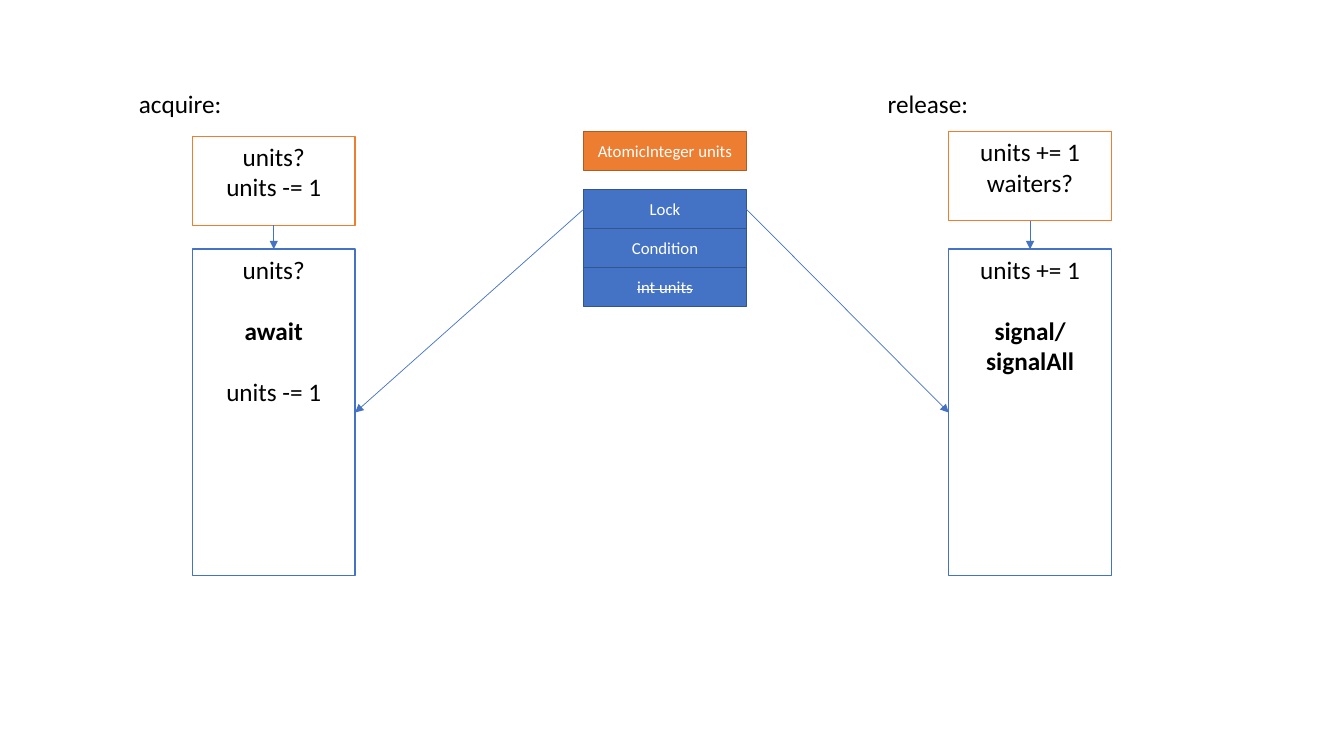
"""Slide showing a semaphore's acquire and release steps around a shared lock."""
from pptx import Presentation
from pptx.dml.color import RGBColor
from pptx.enum.shapes import MSO_CONNECTOR, MSO_SHAPE
from pptx.enum.text import MSO_ANCHOR, MSO_AUTO_SIZE, PP_ALIGN
from pptx.oxml.ns import qn
from pptx.util import Cm, Pt
from lxml.etree import SubElement

BLUE, ORANGE, WHITE, BLACK = "4472C4", "ED7D31", "FFFFFF", "000000"
BOX_W, ROW_H, STEP_H, LOCKED_H = 4.1, 0.98, 2.24, 8.23
LOCK_X, LOCK_Y, UNITS_Y, LOCKED_Y = 14.71, 4.78, 3.32, 6.28
LINE_GAP = 22


def rgb(value):
    return RGBColor.from_string(value)


def add_box(x, y, h, fill, line, lines, size, color, anchor):
    sp = s.shapes.add_shape(MSO_SHAPE.RECTANGLE, Cm(x), Cm(y), Cm(BOX_W), Cm(h))
    sp.shadow.inherit = False
    sp.fill.solid()
    sp.fill.fore_color.rgb = rgb(fill)
    sp.line.color.rgb = rgb(line)
    sp.line.width = Pt(1)
    tf = sp.text_frame
    tf.vertical_anchor = anchor
    for i, (text, bold, gap) in enumerate(lines):
        p = tf.add_paragraph() if i else tf.paragraphs[0]
        p.alignment = PP_ALIGN.CENTER
        p.space_before = Pt(gap)
        r = p.add_run()
        r.text = text
        r.font.name = "Calibri"
        r.font.size = Pt(size)
        r.font.bold = bold
        r.font.color.rgb = rgb(color)
    return sp


prs = Presentation()
prs.slide_width, prs.slide_height = Cm(33.87), Cm(19.05)
s = prs.slides.add_slide(prs.slide_layouts[6])

fields = []
for text, y, fill, line in [
    ("AtomicInteger units", UNITS_Y, ORANGE, "AF5C24"),
    ("Lock", LOCK_Y, BLUE, "325491"),
    ("Condition", LOCK_Y + ROW_H, BLUE, "325491"),
    ("int units", LOCK_Y + 2 * ROW_H, BLUE, "325491"),
]:
    fields.append(add_box(LOCK_X, y, ROW_H, fill, line, [(text, False, 0)],
                          12, WHITE, MSO_ANCHOR.MIDDLE))
lock, int_units = fields[1], fields[3]
int_units.text_frame.paragraphs[0].runs[0].font._element.set("strike", "sngStrike")

links = []
for label, label_x, label_w, x, step_y, step_lines, locked_lines, lock_site, locked_site in [
    ("acquire:", 3.25, 2.62, 4.85, 3.44,
     [("units?", False, 0), ("units -= 1", False, 0)],
     [("units?", False, 0), ("await", True, LINE_GAP), ("units -= 1", False, LINE_GAP)], 1, 3),
    ("release:", 22.12, 2.57, 23.91, UNITS_Y,
     [("units += 1", False, 0), ("waiters?", False, 0)],
     [("units += 1", False, 0), ("signal/", True, LINE_GAP), ("signalAll", True, 0)], 3, 1),
]:
    tf = s.shapes.add_textbox(Cm(label_x), Cm(2.11), Cm(label_w), Cm(1.02)).text_frame
    tf.word_wrap = False
    tf.auto_size = MSO_AUTO_SIZE.SHAPE_TO_FIT_TEXT
    r = tf.paragraphs[0].add_run()
    r.text = label
    r.font.name = "Calibri"
    r.font.size = Pt(18)
    r.font.color.rgb = rgb(BLACK)
    step = add_box(x, step_y, STEP_H, WHITE, ORANGE, step_lines, 18, BLACK, MSO_ANCHOR.TOP)
    locked = add_box(x, LOCKED_Y, LOCKED_H, WHITE, BLUE, locked_lines, 18, BLACK, MSO_ANCHOR.TOP)
    links += [(step, 2, locked, 0), (lock, lock_site, locked, locked_site)]

for start, start_site, end, end_site in links:
    arrow = s.shapes.add_connector(MSO_CONNECTOR.STRAIGHT, 0, 0, 0, 0)
    arrow.begin_connect(start, start_site)
    arrow.end_connect(end, end_site)
    arrow.line.color.rgb = rgb(BLUE)
    arrow.line.width = Pt(0.5)
    SubElement(arrow.line._get_or_add_ln(), qn("a:tailEnd"), type="triangle")
    SubElement(arrow._element.spPr, qn("a:effectLst"))

prs.save("out.pptx")
